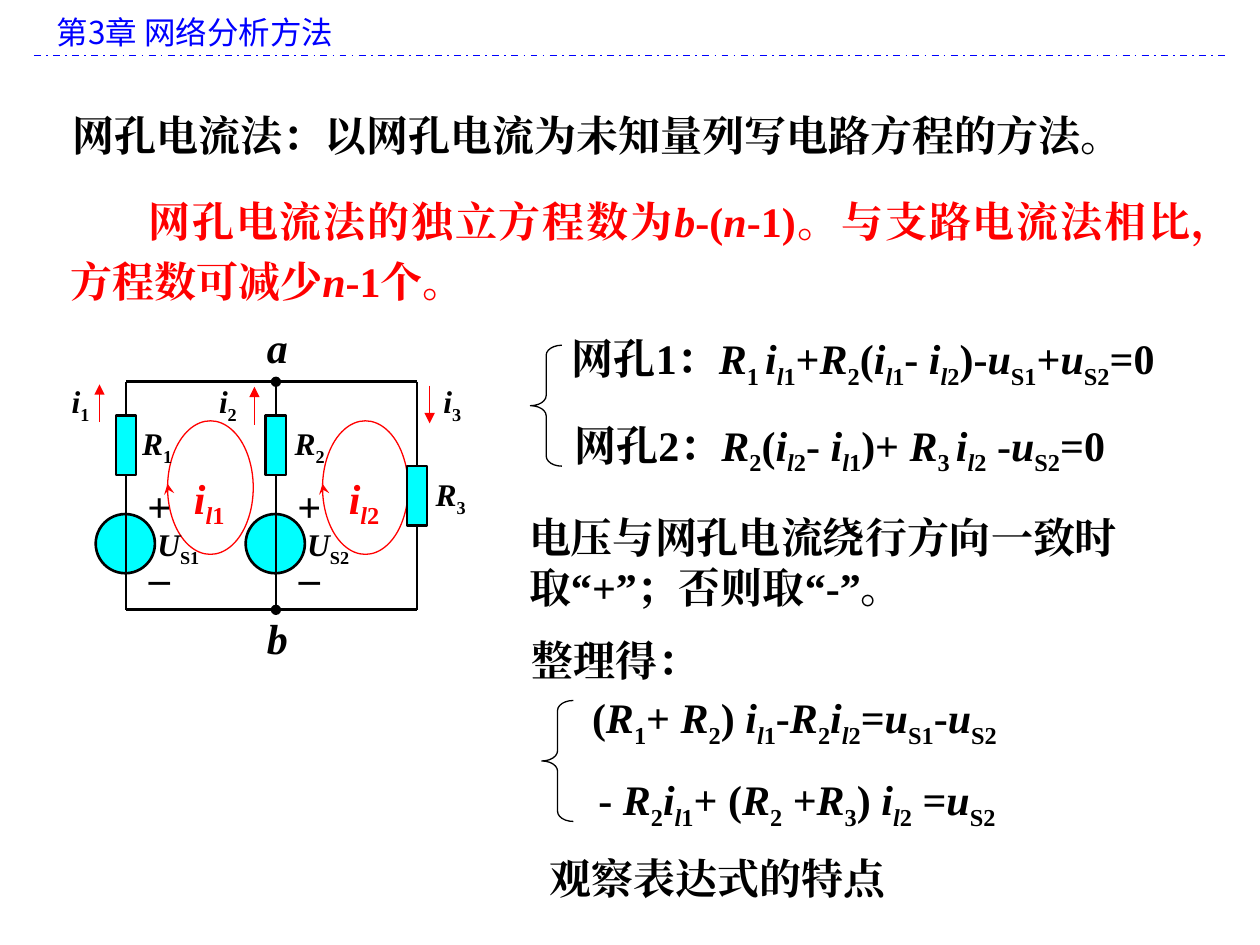
from itertools import groupby

from lxml import etree
from pptx import Presentation
from pptx.dml.color import RGBColor
from pptx.enum import dml, shapes, text
from pptx.oxml.ns import qn
from pptx.util import Inches, Pt

BLACK = RGBColor(0, 0, 0)
RED = RGBColor(255, 0, 0)
BLUE = RGBColor(0, 0, 255)
CYAN = RGBColor(0, 255, 255)
SERIF = "Times New Roman"
SANS = "Noto Sans CJK SC"


def is_symbol(char):
    return char.isascii() and char.isalpha() and char != "S"


def set_east_asian(run, face):
    etree.SubElement(run.font._element, qn("a:ea"), typeface=face)


def add_runs(paragraph, formula):
    for index, part in enumerate(formula.replace("}", "{").split("{")):
        for italic, chars in groupby(part, is_symbol):
            run = paragraph.add_run()
            run.text = "".join(chars)
            if italic:
                run.font.italic = True
            if index % 2:
                run.font._element.set("baseline", "-25000")
            set_east_asian(run, SERIF)


def add_text(parent, formula, left, top, width, height=0.5, size=24,
             color=BLACK, centred=False):
    label = parent.add_textbox(*map(Inches, (left, top, width, height)))
    frame = label.text_frame
    frame.word_wrap = True
    paragraph = frame.paragraphs[0]
    if centred:
        frame.vertical_anchor = text.MSO_ANCHOR.MIDDLE
        paragraph.alignment = text.PP_ALIGN.CENTER
    font = paragraph.font
    font.name, font.size, font.bold = SERIF, Pt(size), True
    font.color.rgb = color
    add_runs(paragraph, formula)
    return paragraph


def add_line(parent, x1, y1, x2, y2, color=BLACK, weight=1.5, head=None, tail=None):
    line = parent.add_connector(shapes.MSO_CONNECTOR.STRAIGHT,
                                *map(Inches, (x1, y1, x2, y2)))
    line.line.color.rgb = color
    line.line.width = Pt(weight)
    etree.SubElement(line._element.spPr, qn("a:effectLst"))
    for tag, kind in (("a:headEnd", head), ("a:tailEnd", tail)):
        if kind:
            etree.SubElement(line.line._get_or_add_ln(), qn(tag), type=kind)
    return line


def add_outline(parent, kind, left, top, width, height, color=BLACK, weight=1.5,
                fill=None):
    outline = parent.add_shape(kind, *map(Inches, (left, top, width, height)))
    outline.shadow.inherit = False
    if fill is None:
        outline.fill.background()
    else:
        outline.fill.solid()
        outline.fill.fore_color.rgb = fill
    outline.line.color.rgb = color
    outline.line.width = Pt(weight)
    return outline


def add_chapter_heading(slide, left, top, width):
    heading = slide.shapes.title
    heading.left, heading.top = Inches(left + 0.08), Inches(top)
    heading.width, heading.height = Inches(width - 0.08), Inches(0.4)
    frame = heading.text_frame
    frame.vertical_anchor = text.MSO_ANCHOR.TOP
    paragraph = frame.paragraphs[0]
    paragraph.alignment = text.PP_ALIGN.LEFT
    paragraph.font.name, paragraph.font.size = SANS, Pt(18)
    paragraph.font.color.rgb = BLUE
    run = paragraph.add_run()
    run.text = "第3章 网络分析方法"
    set_east_asian(run, SANS)
    rule = add_line(slide.shapes, left, top + 0.39, left + width, top + 0.39, BLUE, 1)
    rule.line.dash_style = dml.MSO_LINE.DASH_DOT


def add_definition(slide, left, top, width):
    method = add_text(slide.shapes, "网孔电流法：以网孔电流为未知量列写电路方程的方法。",
                      left + 0.02, top, width, 0.58)
    method.line_spacing = 1.2
    count = add_text(slide.shapes,
                     "网孔电流法的独立方程数为b-(n-1)。与支路电流法相比，方程数可减少n-1个。",
                     left, top + 0.68, width, 1.06, color=RED)
    count.line_spacing = 1.2
    count.alignment = text.PP_ALIGN.JUSTIFY
    count._p.get_or_add_pPr().set("indent", str(Inches(0.62)))


def add_mesh(slide, number, left, top):
    mesh = slide.shapes.add_group_shape().shapes
    add_outline(mesh, shapes.MSO_SHAPE.OVAL, left, top, 0.68, 1.06, RED, 0.75)
    add_text(mesh, f"i{{l{number}}}", left + 0.11, top + 0.36, 0.49, color=RED)
    add_line(mesh, left + 0.01, top + 0.56, left, top + 0.5, RED, 0.75, tail="stealth")


def add_circuit(slide, left, top):
    for number, x in ((1, 0.86), (2, 2.09)):
        add_mesh(slide, number, left + x, top + 0.84)

    circuit = slide.shapes.add_group_shape().shapes
    columns = [left + x for x in (0.53, 1.72, 2.84)]
    rail_top, rail_bottom = top + 0.53, top + 2.34

    for x in columns[:2]:
        add_outline(circuit, shapes.MSO_SHAPE.OVAL, x - 0.24, top + 1.58,
                    0.47, 0.47, fill=CYAN)
    for x, dot in zip(columns, (None, "oval", None)):
        add_line(circuit, x, rail_top, x, rail_bottom, head=dot, tail=dot)
    for y in (rail_top, rail_bottom):
        add_line(circuit, columns[0], y, columns[-1], y)

    resistors = ((0.8, 0.03, 0.82), (0.8, 0.05, 0.82), (1.2, 0.05, 1.22))
    for number, (x, (y, label_x, label_y)) in enumerate(zip(columns, resistors), 1):
        add_outline(circuit, shapes.MSO_SHAPE.RECTANGLE, x - 0.08, top + y,
                    0.16, 0.47, fill=CYAN)
        add_text(circuit, f"R{{{number}}}", x + label_x, top + label_y, 0.67, 0.4, 18)

    for number, x in enumerate(columns[:2], 1):
        add_text(circuit, "+", x + 0.07, top + 1.26, 0.39, centred=True)
        add_text(circuit, "_", x + 0.08, top + 1.72, 0.37, centred=True)
        add_text(circuit, f"U{{S{number}}}", x + 0.15, top + 1.62, 0.73, 0.4, 18)

    branches = ((0.32, 0.85, 0.55, 0), (1.55, 0.87, 0.57, 1.17),
                (2.94, 0.56, 0.86, 2.95))
    for number, (x, start, end, label_x) in enumerate(branches, 1):
        add_line(circuit, left + x, top + start, left + x, top + end, RED, 0.75,
                 tail="triangle")
        add_text(circuit, f"i{{{number}}}", left + label_x, top + 0.48, 0.5, 0.4, 18)

    for node, y in (("a", 0), ("b", 2.31)):
        add_text(circuit, node, left + 1.55, top + y, 0.42)


def add_equations(slide, left, top, equations):
    brace = add_outline(slide.shapes, shapes.MSO_SHAPE.LEFT_BRACE, left, top,
                        0.25, 0.96, weight=0.75)
    brace.adjustments[0] = 0.32
    for formula, x, y in equations:
        add_text(slide.shapes, formula, left + x, top + y, 5.25)


def add_derivation(slide, left, top):
    add_equations(slide, left + 0.11, top, [
        ("网孔1：R{1 }i{l1}+R{2}(i{l1}- i{l2})-u{S1}+u{S2}=0", 0.23, -0.15),
        ("网孔2：R{2}(i{l2}- i{l1})+ R{3 }i{l2} -u{S2}=0", 0.25, 0.54),
    ])
    add_text(slide.shapes, "电压与网孔电流绕行方向一致时取“+”；否则取“-”。",
             left, top + 1.27, 5.42, 0.9)
    add_text(slide.shapes, "整理得：", left + 0.02, top + 2.25, 5.52)
    add_equations(slide, left + 0.2, top + 2.82, [
        ("(R{1}+ R{2}) i{l1}-R{2}i{l2}=u{S1}-u{S2}", 0.3, -0.12),
        ("- R{2}i{l1}+ (R{2} +R{3}) i{l2} =u{S2}", 0.35, 0.53),
    ])
    add_text(slide.shapes, "观察表达式的特点", left + 0.16, top + 3.98, 4.3)


def main():
    deck = Presentation()
    deck.slide_width, deck.slide_height = Inches(10), Inches(7.5)
    slide = deck.slides.add_slide(deck.slide_layouts[5])
    add_chapter_heading(slide, 0.27, 0.05, 9.45)
    add_definition(slide, 0.46, 0.74, 9.1)
    add_circuit(slide, 0.47, 2.5)
    add_derivation(slide, 4.1, 2.74)
    deck.save("out.pptx")


if __name__ == "__main__":
    main()
